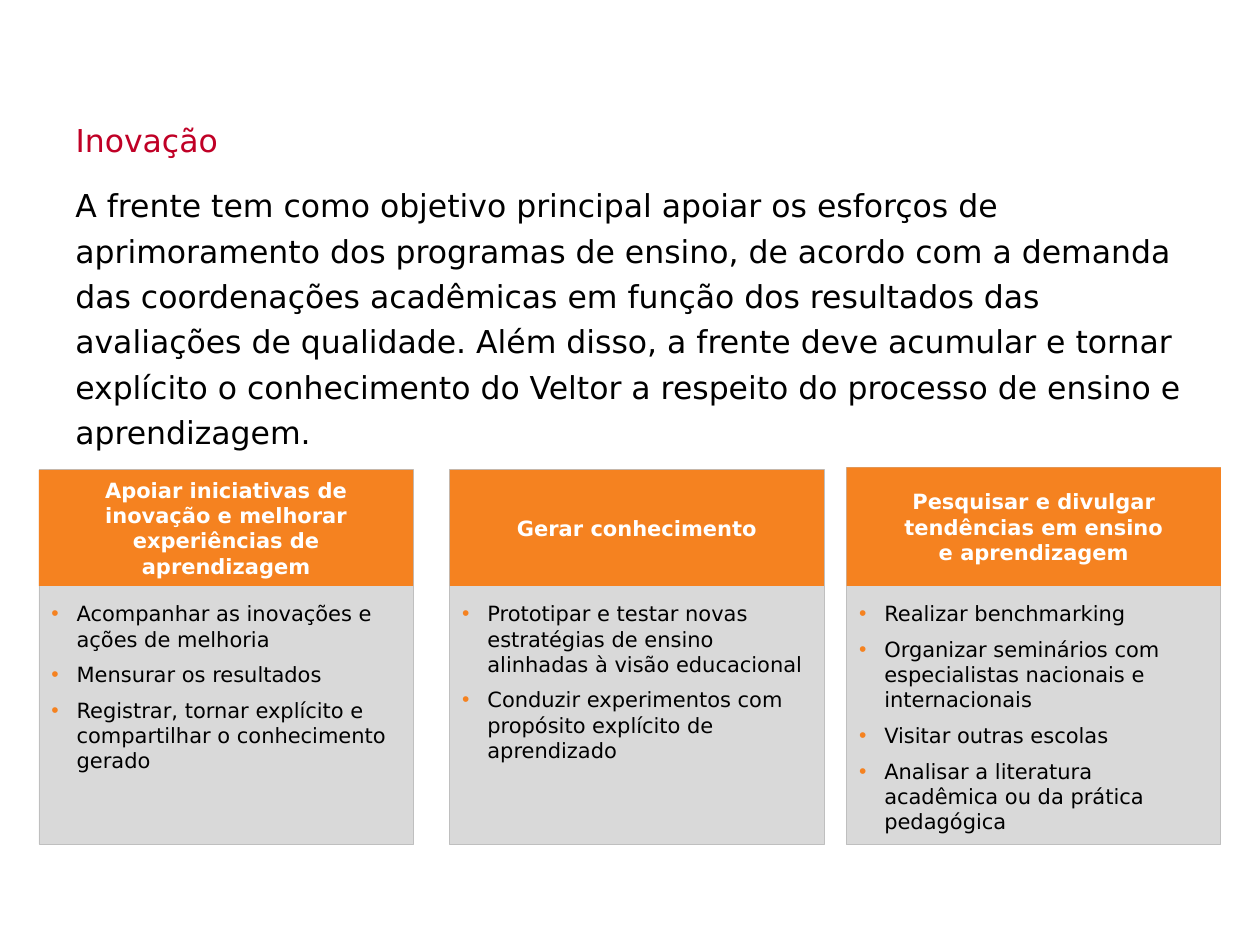
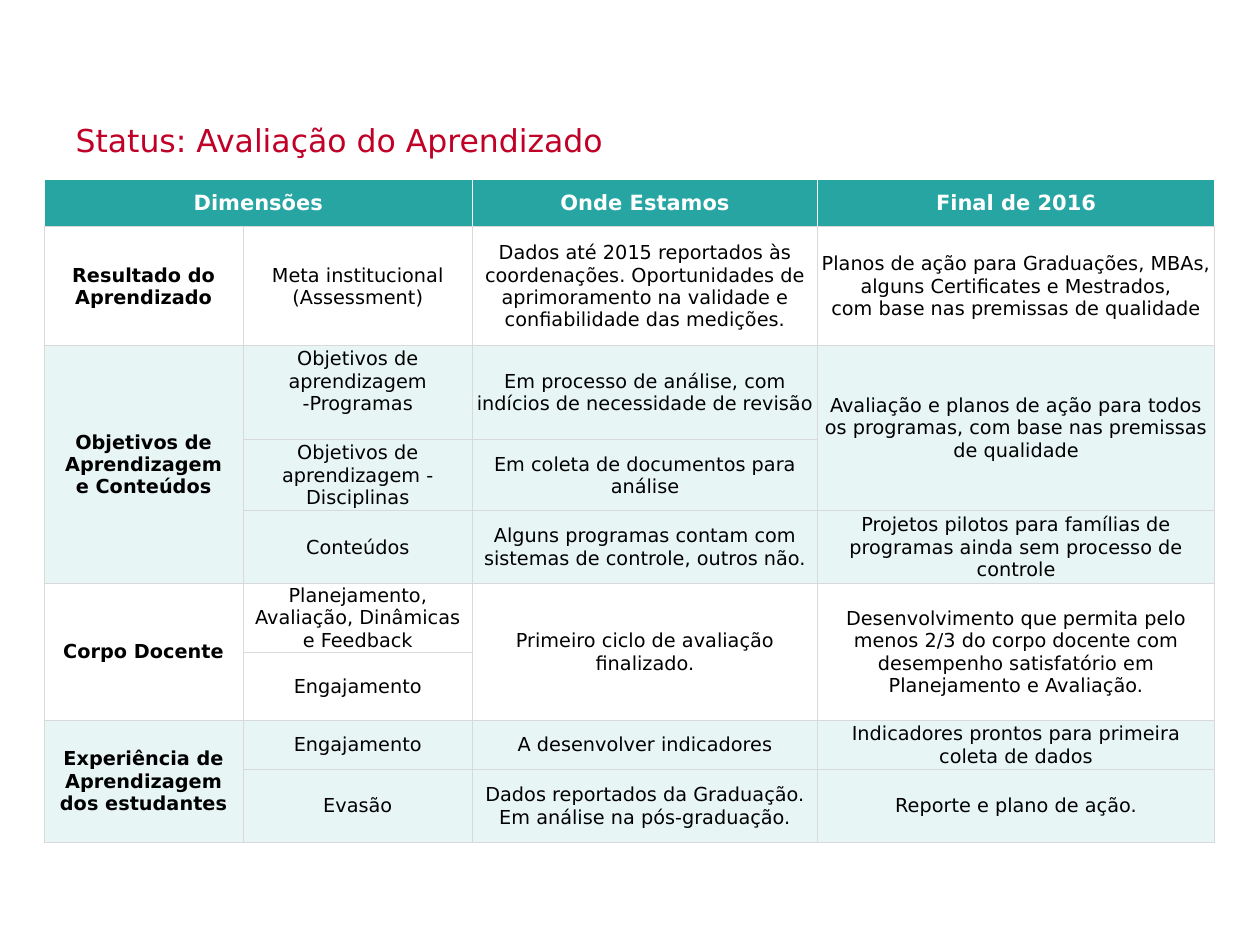
"""Build two slides on teaching innovation and learning assessment."""
from lxml.etree import SubElement
from pptx import Presentation
from pptx.dml.color import RGBColor
from pptx.enum.shapes import MSO_SHAPE
from pptx.enum.text import MSO_ANCHOR, MSO_AUTO_SIZE, PP_ALIGN
from pptx.oxml.ns import qn
from pptx.util import Inches, Pt

FONT = "DejaVu Sans"
CRIMSON = RGBColor(0xC0, 0x00, 0x26)
ORANGE = RGBColor(0xF5, 0x82, 0x20)
TEAL = RGBColor(0x27, 0xA5, 0xA2)
PANEL_GREY = RGBColor(0xD9, 0xD9, 0xD9)
OUTLINE_GREY = RGBColor(0xBF, 0xBF, 0xBF)
WHITE = RGBColor(0xFF, 0xFF, 0xFF)
BLACK = RGBColor(0x00, 0x00, 0x00)

INTRO = (
    "A frente tem como objetivo principal apoiar os esforços de aprimoramento dos programas "
    "de ensino, de acordo com a demanda das coordenações acadêmicas em função dos resultados "
    "das avaliações de qualidade. Além disso, a frente deve acumular e tornar explícito o "
    "conhecimento do Veltor a respeito do processo de ensino e aprendizagem."
)

PILLARS = [
    (0.31, 3.73, "Apoiar iniciativas de inovação e melhorar experiências de aprendizagem", [
        "Acompanhar as inovações e ações de melhoria",
        "Mensurar os resultados",
        "Registrar, tornar explícito e compartilhar o conhecimento gerado",
    ]),
    (3.57, 3.73, "Gerar conhecimento", [
        "Prototipar e testar novas estratégias de ensino alinhadas à visão educacional",
        "Conduzir experimentos com propósito explícito de aprendizado",
    ]),
    (6.72, 3.71, "Pesquisar e divulgar tendências em ensino\ve aprendizagem", [
        "Realizar benchmarking",
        "Organizar seminários com especialistas nacionais e internacionais",
        "Visitar outras escolas",
        "Analisar a literatura acadêmica ou da prática pedagógica",
    ]),
]
PILLAR_WIDTH, BAND_BOTTOM, PANEL_BOTTOM = 2.97, 4.65, 6.7

STATUS = [
    ["Dimensões", None, "Onde Estamos", "Final de 2016"],
    ["Resultado do Aprendizado", "Meta institucional (Assessment)",
     "Dados até 2015 reportados às coordenações. Oportunidades de aprimoramento na validade "
     "e confiabilidade das medições.",
     "Planos de ação para Graduações, MBAs, alguns Certificates e Mestrados,\n"
     "com base nas premissas de qualidade"],
    ["Objetivos de Aprendizagem\ve Conteúdos", "Objetivos de aprendizagem -Programas",
     "Em processo de análise, com indícios de necessidade de revisão",
     "Avaliação e planos de ação para todos os programas, com base nas premissas de qualidade"],
    [None, "Objetivos de aprendizagem - Disciplinas", "Em coleta de documentos para análise", None],
    [None, "Conteúdos", "Alguns programas contam com sistemas de controle, outros não.",
     "Projetos pilotos para famílias de programas ainda sem processo de controle"],
    ["Corpo Docente", "Planejamento, Avaliação, Dinâmicas\ve Feedback",
     "Primeiro ciclo de avaliação finalizado.",
     "Desenvolvimento que permita pelo menos 2/3 do corpo docente com desempenho "
     "satisfatório em Planejamento e Avaliação."],
    [None, "Engajamento", None, None],
    ["Experiência de Aprendizagem dos estudantes", "Engajamento", "A desenvolver indicadores",
     "Indicadores prontos para primeira\vcoleta de dados"],
    [None, "Evasão", "Dados reportados da Graduação. Em análise na pós-graduação.",
     "Reporte e plano de ação."],
]
COLUMN_WIDTHS = [1.58, 1.82, 2.74, 3.15]
ROW_HEIGHTS = [0.38, 0.94, 0.75, 0.56, 0.58, 0.54, 0.54, 0.39, 0.58]
TINTED_ROWS = {2, 3, 4, 7, 8}
RAISED_CELL = (2, 1)


def apply(target, values):
    for key, value in values.items():
        setattr(target, key, value)


def write(frame, text, size, color, bold=False, **paragraph_format):
    frame.text = text
    frame.word_wrap = True
    for paragraph in frame.paragraphs:
        apply(paragraph, paragraph_format)
        for run in paragraph.runs:
            apply(run.font, {"name": FONT, "size": Pt(size), "bold": bold})
            run.font.color.rgb = color


def add_titled_slide(deck, text):
    slide = deck.slides.add_slide(deck.slide_layouts[5])
    title = slide.shapes.title
    apply(title, {"left": Inches(0.5), "top": Inches(0.85),
                  "width": Inches(9), "height": Inches(0.68)})
    apply(title.text_frame, {"vertical_anchor": MSO_ANCHOR.TOP, "auto_size": MSO_AUTO_SIZE.NONE})
    write(title.text_frame, text, 18, CRIMSON, line_spacing=1.2, alignment=PP_ALIGN.LEFT)
    return slide


def add_text(slide, left, top, width, height, text, size, **paragraph_format):
    frame = slide.shapes.add_textbox(*map(Inches, (left, top, width, height))).text_frame
    write(frame, text, size, BLACK, **paragraph_format)
    return frame


def add_block(slide, left, top, bottom, fill, outline=None):
    block = slide.shapes.add_shape(
        MSO_SHAPE.RECTANGLE, *map(Inches, (left, top, PILLAR_WIDTH, bottom - top)))
    block.shadow.inherit = False
    block.fill.solid()
    block.fill.fore_color.rgb = fill
    if outline is None:
        block.line.fill.background()
    else:
        block.line.color.rgb = outline
        block.line.width = Pt(0.5)
    return block


def add_bullets(frame):
    for paragraph in frame.paragraphs:
        properties = paragraph._p.get_or_add_pPr()
        properties.set("marL", str(Inches(0.2)))
        properties.set("indent", str(Inches(-0.2)))
        bullet_color = SubElement(properties, qn("a:buClr"))
        SubElement(bullet_color, qn("a:srgbClr"), val=str(ORANGE))
        SubElement(properties, qn("a:buFont"), typeface="Arial")
        SubElement(properties, qn("a:buChar"), char="•")


def add_pillar(slide, left, top, heading, points):
    add_block(slide, left, top, PANEL_BOTTOM, PANEL_GREY, OUTLINE_GREY)
    band = add_block(slide, left, top, BAND_BOTTOM, ORANGE)
    band.text_frame.vertical_anchor = MSO_ANCHOR.MIDDLE
    write(band.text_frame, heading, 12, WHITE, bold=True, alignment=PP_ALIGN.CENTER)
    add_bullets(add_text(slide, left, 4.72, PILLAR_WIDTH, 1.97, "\n".join(points), 12,
                         space_before=Pt(6)))


def draw_borders(cell, is_header):
    properties = cell._tc.get_or_add_tcPr()
    for side in ("lnL", "lnR", "lnT", "lnB"):
        color = WHITE if is_header and side != "lnB" else PANEL_GREY
        border = SubElement(properties, qn(f"a:{side}"), w=str(Pt(0.5)))
        SubElement(SubElement(border, qn("a:solidFill")), qn("a:srgbClr"), val=str(color))


def fill_cell(cell, row):
    if row and row not in TINTED_ROWS:
        cell.fill.background()
        return
    cell.fill.solid()
    cell.fill.fore_color.rgb = TEAL
    if row:
        tint = cell._tc.tcPr.find(qn("a:solidFill")).find(qn("a:srgbClr"))
        SubElement(tint, qn("a:alpha"), val="10000")


def add_status_table(slide):
    table = slide.shapes.add_table(
        len(STATUS), len(COLUMN_WIDTHS), Inches(0.35), Inches(1.42),
        Inches(sum(COLUMN_WIDTHS)), Inches(sum(ROW_HEIGHTS))).table
    apply(table, {"first_row": False, "horz_banding": False})
    for column, width in zip(table.columns, COLUMN_WIDTHS):
        column.width = Inches(width)
    for row, height in zip(table.rows, ROW_HEIGHTS):
        row.height = Inches(height)
    for row, texts in enumerate(STATUS):
        for column, text in enumerate(texts):
            cell = table.cell(row, column)
            margin = Inches(0.01)
            bottom = Inches(0.18) if (row, column) == RAISED_CELL else 0
            apply(cell, {"margin_left": margin, "margin_right": margin, "margin_top": margin,
                         "margin_bottom": bottom, "vertical_anchor": MSO_ANCHOR.MIDDLE})
            draw_borders(cell, row == 0)
            fill_cell(cell, row)
            if text:
                size, color = (11, BLACK) if row else (12, WHITE)
                write(cell.text_frame, text, size, color, bold=row == 0 or column == 0,
                      alignment=PP_ALIGN.CENTER)
    table.cell(0, 0).merge(table.cell(0, 1))
    for column in range(len(COLUMN_WIDTHS)):
        starts = [row for row in range(1, len(STATUS)) if STATUS[row][column]]
        for start, following in zip(starts, starts[1:] + [len(STATUS)]):
            if following - start > 1:
                table.cell(start, column).merge(table.cell(following - 1, column))


deck = Presentation()
apply(deck, {"slide_width": Inches(10), "slide_height": Inches(7.5)})

innovation = add_titled_slide(deck, "Inovação")
add_text(innovation, 0.5, 1.37, 9, 0.62, INTRO, 18, line_spacing=1.2)
for pillar in PILLARS:
    add_pillar(innovation, *pillar)

add_status_table(add_titled_slide(deck, "Status: Avaliação do Aprendizado"))

deck.save("out.pptx")
